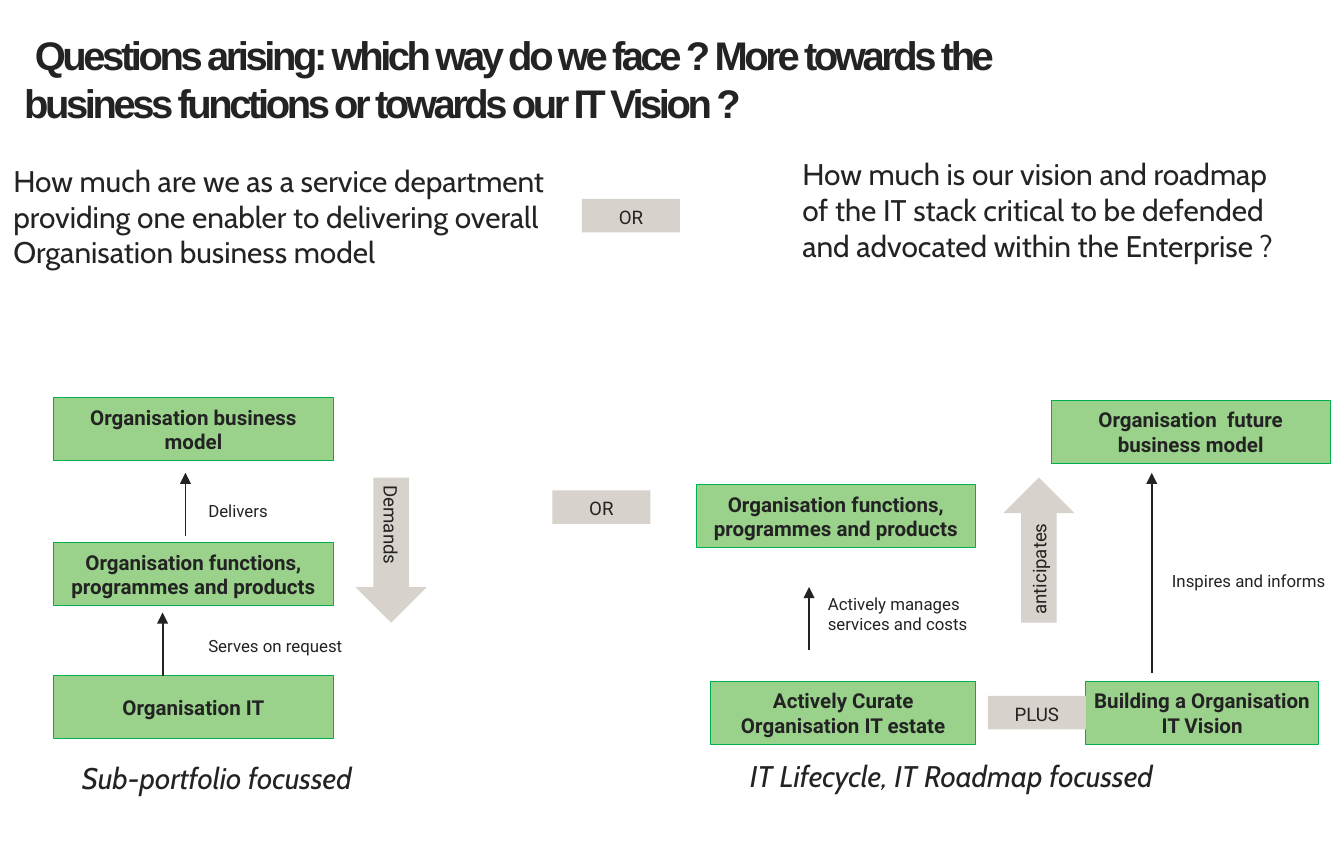
import pptx
import pptx.util
import pptx.dml.color
import pptx.enum.shapes
import pptx.enum.text
import pptx.oxml

Inches = pptx.util.Inches
Pt = pptx.util.Pt
Align = pptx.enum.text.PP_ALIGN
Anchor = pptx.enum.text.MSO_ANCHOR
Preset = pptx.enum.shapes.MSO_SHAPE

INK = "232323"
GREEN = "9AD28B"
GREEN_EDGE = "00B050"
STONE = "D7D2CB"
BOX_WIDTH, BOX_HEIGHT = 2.08, 0.47
NOTE_WIDTH = 1.24


def colour(value):
    return pptx.dml.color.RGBColor.from_string(value)


def write(box, text, size=9, font="Roboto", bold=False, italic=False,
          align=Align.LEFT, anchor=Anchor.TOP, inset=0.05, left_inset=None):
    frame = box.text_frame
    frame.word_wrap = True
    frame.vertical_anchor = anchor
    frame.margin_right = frame.margin_top = frame.margin_bottom = Inches(inset)
    frame.margin_left = Inches(inset if left_inset is None else left_inset)
    para = frame.paragraphs[0]
    para.alignment = align
    span = para.add_run()
    span.text = text
    span.font.size = Pt(size)
    span.font.name = font
    span.font.bold = bold
    span.font.italic = italic
    span.font.color.rgb = colour(INK)
    return span


def add_text(page, text, left, top, width, height, **style):
    box = page.shapes.add_textbox(Inches(left), Inches(top), Inches(width), Inches(height))
    return write(box, text, **style)


def add_filled(page, preset, left, top, width, height, fill, edge=None):
    shape = page.shapes.add_shape(preset, Inches(left), Inches(top), Inches(width), Inches(height))
    shape.shadow.inherit = False
    shape.fill.solid()
    shape.fill.fore_color.rgb = colour(fill)
    if edge:
        shape.line.color.rgb = colour(edge)
        shape.line.width = Pt(0.5)
    else:
        shape.line.fill.background()
    return shape


def add_box(page, text, left, top, width=BOX_WIDTH):
    box = add_filled(page, Preset.RECTANGLE, left, top, width, BOX_HEIGHT, GREEN, GREEN_EDGE)
    write(box, text, size=11, bold=True, align=Align.CENTER, anchor=Anchor.MIDDLE)


def add_tag(page, text, left, top):
    tag = add_filled(page, Preset.RECTANGLE, left, top, 0.73, 0.25, STONE)
    write(tag, text, size=10, align=Align.CENTER)


def add_block_arrow(page, text, left, top, rotation):
    arrow = add_filled(page, Preset.RIGHT_ARROW, left, top, 1.08, 0.53, STONE)
    arrow.rotation = rotation
    write(arrow, text, size=10, anchor=Anchor.MIDDLE, inset=0, left_inset=0.06)


def add_up_arrow(page, x, bottom, length=0.47):
    line = page.shapes.add_connector(
        pptx.enum.shapes.MSO_CONNECTOR.STRAIGHT,
        Inches(x), Inches(bottom), Inches(x), Inches(bottom - length))
    line.line.color.rgb = colour(INK)
    line.line.width = Pt(1)
    head = pptx.oxml.parse_xml(
        '<a:tailEnd xmlns:a="http://schemas.openxmlformats.org/drawingml/2006/main" type="triangle"/>')
    line.line._get_or_add_ln().append(head)
    effects = pptx.oxml.parse_xml(
        '<a:effectLst xmlns:a="http://schemas.openxmlformats.org/drawingml/2006/main"/>')
    line._element.spPr.append(effects)


def add_heading(page, left, top, width, height):
    span = add_text(
        page, "Questions arising: which way do we face ? More towards the "
        "business functions or towards our IT Vision ?",
        left, top, width, height, size=21.4, font="Arial", bold=True,
        anchor=Anchor.BOTTOM, inset=0)
    span._r.get_or_add_rPr().set("spc", "-180")
    para_format = span._r.getparent().get_or_add_pPr()
    para_format.set("marL", "0")
    para_format.set("indent", str(Inches(0.08)))


def add_questions(page, left, top):
    add_text(page, "How much are we as a service department providing one enabler "
             "to delivering overall Organisation business model",
             left, top + 0.05, 4.13, 0.89, size=16, font="Cabin")
    add_tag(page, "OR", left + 4.28, top + 0.37)
    add_text(page, "How much is our vision and roadmap of the IT stack critical "
             "to be defended and advocated within the Enterprise ?",
             left + 5.87, top, 3.63, 0.89, size=16, font="Cabin")


def add_caption(page, text, left, top):
    add_text(page, text, left, top, 3.63, 0.36, size=16, font="Cabin", italic=True)


def add_service_view(page, left, top):
    # Stack of boxes
    for text, offset in (("Organisation business model", 0),
                         ("Organisation functions, programmes and products", 1.08),
                         ("Organisation IT", 2.07)):
        add_box(page, text, left, top + offset)
    # Upward links and their notes
    for text, note_top, x, bottom in (("Delivers", 0.72, 0.98, 1.03),
                                      ("Serves on request", 1.72, 0.81, 2.07)):
        add_up_arrow(page, left + x, top + bottom)
        add_text(page, text, left + 1.1, top + note_top, NOTE_WIDTH, 0.25)
    add_block_arrow(page, "Demands", left + 1.97, top + 0.87, 90)
    add_caption(page, "Sub-portfolio focussed", left + 0.16, top + 2.65)


def add_vision_view(page, left, top):
    # Boxes
    for text, x, y, width in (
            ("Organisation  future business model", 2.64, 0, BOX_WIDTH),
            ("Organisation functions, programmes and products", 0, 0.63, BOX_WIDTH),
            ("Actively Curate Organisation IT estate", 0.11, 2.09, 1.97),
            ("Building a Organisation IT Vision", 2.9, 2.09, 1.73)):
        add_box(page, text, left + x, top + y, width)
    add_tag(page, "PLUS", left + 2.17, top + 2.2)
    # Upward links and their notes
    for text, note_left, note_top, x, bottom, length in (
            ("Actively manages services and costs", 0.93, 1.39, 0.84, 1.86, 0.47),
            ("Inspires and informs", 3.49, 1.22, 3.39, 2.03, 1.49)):
        add_up_arrow(page, left + x, top + bottom, length)
        add_text(page, text, left + note_left, top + note_top, NOTE_WIDTH, 0.41)
    add_block_arrow(page, "anticipates", left + 2.01, top + 0.85, 270)
    add_caption(page, "IT Lifecycle, IT Roadmap focussed", left + 0.35, top + 2.61)


def main():
    deck = pptx.Presentation()
    deck.slide_width, deck.slide_height = Inches(10), Inches(6.32)
    page = deck.slides.add_slide(deck.slide_layouts[6])
    add_heading(page, 0.18, 0.23, 8.27, 0.71)
    add_questions(page, 0.05, 1.11)
    add_service_view(page, 0.4, 2.96)
    add_tag(page, "OR", 4.11, 3.65)
    add_vision_view(page, 5.18, 2.98)
    deck.save("out.pptx")


if __name__ == "__main__":
    main()
